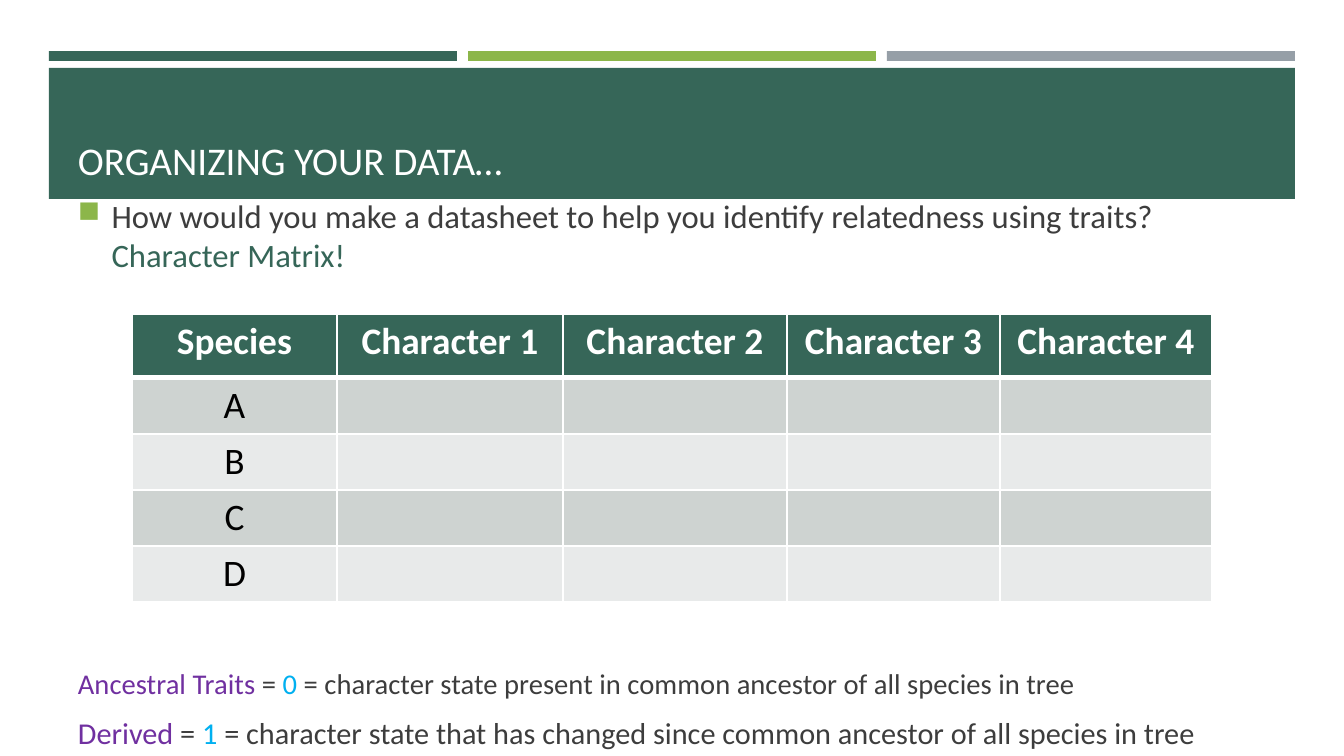
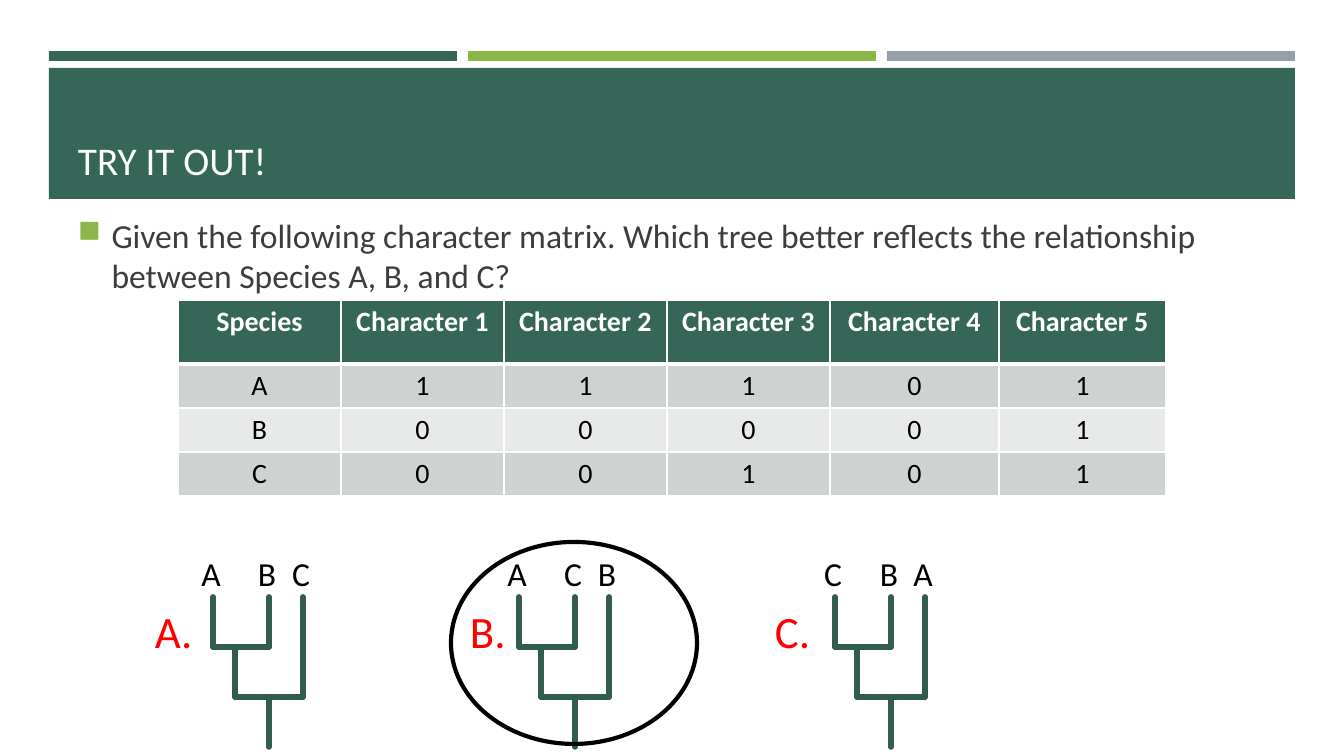
from lxml import etree
from pptx import Presentation
from pptx import util as u
from pptx.dml.color import RGBColor
from pptx.enum import shapes, text
from pptx.oxml.ns import qn

PX = 914400 / 134.4
FONT = "Calibri"
COLORS = {
    "green": "366658", "lime": "8CB64A", "gray": "969FA7", "branch": "315C4F",
    "white": "FFFFFF", "black": "000000", "body": "3D3D3D", "purple": "7030A0",
    "blue": "00B0F0", "red": "FF0000", "band_dark": "CED3D1", "band_light": "E8EAEA",
}

# Content: text is given as paragraphs of (words, color) spans
MATRIX_QUESTION = [
    ("How would you make a datasheet to help you identify relatedness using traits? ", "body"),
    ("Character Matrix!", "green"),
]
LEGEND = [
    (15.3, [("Ancestral Traits ", "purple"), ("= ", "body"), ("0", "blue"),
            (" = character state present in common ancestor of all species in tree", "body")]),
    (16.2, [("Derived ", "purple"), ("= ", "body"), ("1", "blue"),
            (" = character state that has changed since common ancestor of all species in tree",
             "body")]),
]
EMPTY_MATRIX = [["Species"] + [f"Character {n}" for n in range(1, 5)]]
EMPTY_MATRIX += [[species] + [""] * 4 for species in "ABCD"]

TREE_QUESTION = [
    ("Given the following character matrix. Which tree better reflects the relationship "
     "between Species A, B, and C?", "body"),
]
SCORED_MATRIX = [["Species"] + [f"Character {n}" for n in range(1, 6)]]
SCORED_MATRIX += [list(row) for row in ("A11101", "B00001", "C00101")]
# option, option left, tree left, species at the tips
TREES = [("A.", 155, 213, "ABC"), ("B.", 470, 519, "ACB"), ("C.", 775, 835, "CBA")]

# Layout
LEFT, WIDTH = 78, 1190
STRIPE_LEFT, STRIPE_WIDTH, STRIPE_STEP = 49, 408, 419
HEADER_HEIGHT = 64
TIP_OFFSETS = (0, 56, 90)
FORK_OFFSET = 22
TREE_TOP, TREE_STEP = 597, 50


def px(length):
    return u.Emu(round(length * PX))


def rgb(name):
    return RGBColor.from_string(COLORS[name])


def add_text(page, frame, paragraphs, align=text.PP_ALIGN.LEFT,
             anchor=text.MSO_ANCHOR.TOP, bullet=False):
    """Write paragraphs of (size, spans) into a box without insets."""
    box = page.shapes.add_textbox(*map(px, frame))
    body = box.text_frame
    body.margin_left = body.margin_right = body.margin_top = body.margin_bottom = 0
    body.word_wrap = True
    body.vertical_anchor = anchor
    for index, (size, spans) in enumerate(paragraphs):
        para = body.add_paragraph() if index else body.paragraphs[0]
        para.alignment = align
        if index:
            para.space_before = u.Pt(7.7)
        if bullet:
            add_bullet(para)
        para.font.name = FONT
        para.font.size = u.Pt(size)
        for words, color in spans:
            span = para.add_run()
            span.text = words
            span.font.color.rgb = rgb(color)


def add_bullet(para):
    props = para._p.get_or_add_pPr()
    props.set("marL", str(u.Inches(0.25)))
    props.set("indent", str(-u.Inches(0.25)))
    color = etree.SubElement(props, qn("a:buClr"))
    etree.SubElement(color, qn("a:srgbClr"), val=COLORS["lime"])
    etree.SubElement(props, qn("a:buSzPct"), val="92000")
    etree.SubElement(props, qn("a:buChar"), char="■")


def add_bar(page, frame, color):
    bar = page.shapes.add_shape(shapes.MSO_SHAPE.RECTANGLE, *map(px, frame))
    bar.shadow.inherit = False
    bar.fill.solid()
    bar.fill.fore_color.rgb = rgb(color)
    bar.line.fill.background()


def add_page(deck, title):
    """Start a page with the three stripes, the title band and the title."""
    page = deck.slides.add_slide(deck.slide_layouts[6])
    for index, color in enumerate(("green", "lime", "gray")):
        add_bar(page, (STRIPE_LEFT + index * STRIPE_STEP, 51, STRIPE_WIDTH, 10), color)
    add_bar(page, (STRIPE_LEFT, 68, 1246, 131), "green")
    add_text(page, (LEFT, 85, WIDTH, 98), [(21, [(title, "white")])],
             anchor=text.MSO_ANCHOR.BOTTOM)
    return page


def style_cell(cell, row, size):
    cell.margin_top = cell.margin_bottom = px(5)
    widths = {"lnL": 1, "lnR": 1, "lnT": 3 if row == 1 else 1, "lnB": 1 if row else 3}
    for side, width in widths.items():
        line = etree.SubElement(cell._tc.get_or_add_tcPr(), qn(f"a:{side}"), w=str(u.Pt(width)))
        fill = etree.SubElement(line, qn("a:solidFill"))
        etree.SubElement(fill, qn("a:srgbClr"), val=COLORS["white"])
    cell.fill.solid()
    band = "band_dark" if row % 2 else "band_light"
    cell.fill.fore_color.rgb = rgb(band if row else "green")
    para = cell.text_frame.paragraphs[0]
    para.alignment = text.PP_ALIGN.CENTER
    para.font.name = FONT
    para.font.size = u.Pt(size)
    para.font.bold = row == 0
    para.font.color.rgb = rgb("black" if row else "white")


def add_matrix(page, left, top, widths, row_height, rows, size):
    heights = [HEADER_HEIGHT] + [row_height] * (len(rows) - 1)
    frame = (left, top, sum(widths), sum(heights))
    table = page.shapes.add_table(len(rows), len(widths), *map(px, frame)).table
    for column, width in zip(table.columns, widths):
        column.width = px(width)
    for row, (height, values) in enumerate(zip(heights, rows)):
        table.rows[row].height = px(height)
        for column, value in enumerate(values):
            cell = table.cell(row, column)
            cell.text = value
            style_cell(cell, row, size)


def add_branch(page, start, end):
    branch = page.shapes.add_connector(shapes.MSO_CONNECTOR.STRAIGHT, *map(px, start + end))
    branch.line.color.rgb = rgb("branch")
    branch.line.width = u.Pt(3)
    branch.line._get_or_add_ln().set("cap", "rnd")
    etree.SubElement(branch._element.spPr, qn("a:effectLst"))


def add_tree(page, left, species):
    first, second, third = (left + offset for offset in TIP_OFFSETS)
    fork = left + FORK_OFFSET
    tips, upper, lower, root = (TREE_TOP + level * TREE_STEP for level in range(4))
    for start, end in [
        ((first, tips), (first, upper)),
        ((second, tips), (second, upper)),
        ((second, upper), (first, upper)),
        ((fork, upper), (fork, lower)),
        ((third, lower), (fork, lower)),
        ((third, tips), (third, lower)),
        ((second, lower), (second, root)),
    ]:
        add_branch(page, start, end)
    for tip, name in zip((first, second, third), species):
        add_text(page, (tip - 18, 553, 32, 41), [(18, [(name, "black")])],
                 align=text.PP_ALIGN.CENTER)


def build_matrix_page(deck):
    page = add_page(deck, "ORGANIZING YOUR DATA…")
    add_text(page, (LEFT, 196, WIDTH, 80), [(17.5, MATRIX_QUESTION)], bullet=True)
    add_matrix(page, 132, 314, (205, 226, 224, 213, 212), 56, EMPTY_MATRIX, 20)
    add_text(page, (LEFT, 666, WIDTH, 86), LEGEND)


def build_tree_page(deck):
    page = add_page(deck, "TRY IT OUT!")
    add_text(page, (LEFT, 215, WIDTH, 82), [(18, TREE_QUESTION)], bullet=True)
    add_matrix(page, 178, 300, (163, 163, 163, 163, 169, 167), 44, SCORED_MATRIX, 15)
    for option, option_left, tree_left, species in TREES:
        add_tree(page, tree_left, species)
        add_text(page, (option_left, 604, 40, 54), [(24, [(option, "red")])])
    # Ring around the right answer
    ring = page.shapes.add_shape(shapes.MSO_SHAPE.OVAL, *map(px, (451, 542, 246, 202)))
    ring.shadow.inherit = False
    ring.fill.background()
    ring.line.color.rgb = rgb("black")
    ring.line.width = u.Pt(2.25)


def main():
    deck = Presentation()
    deck.slide_width, deck.slide_height = px(1344), px(756)
    build_matrix_page(deck)
    build_tree_page(deck)
    deck.save("out.pptx")


if __name__ == "__main__":
    main()
